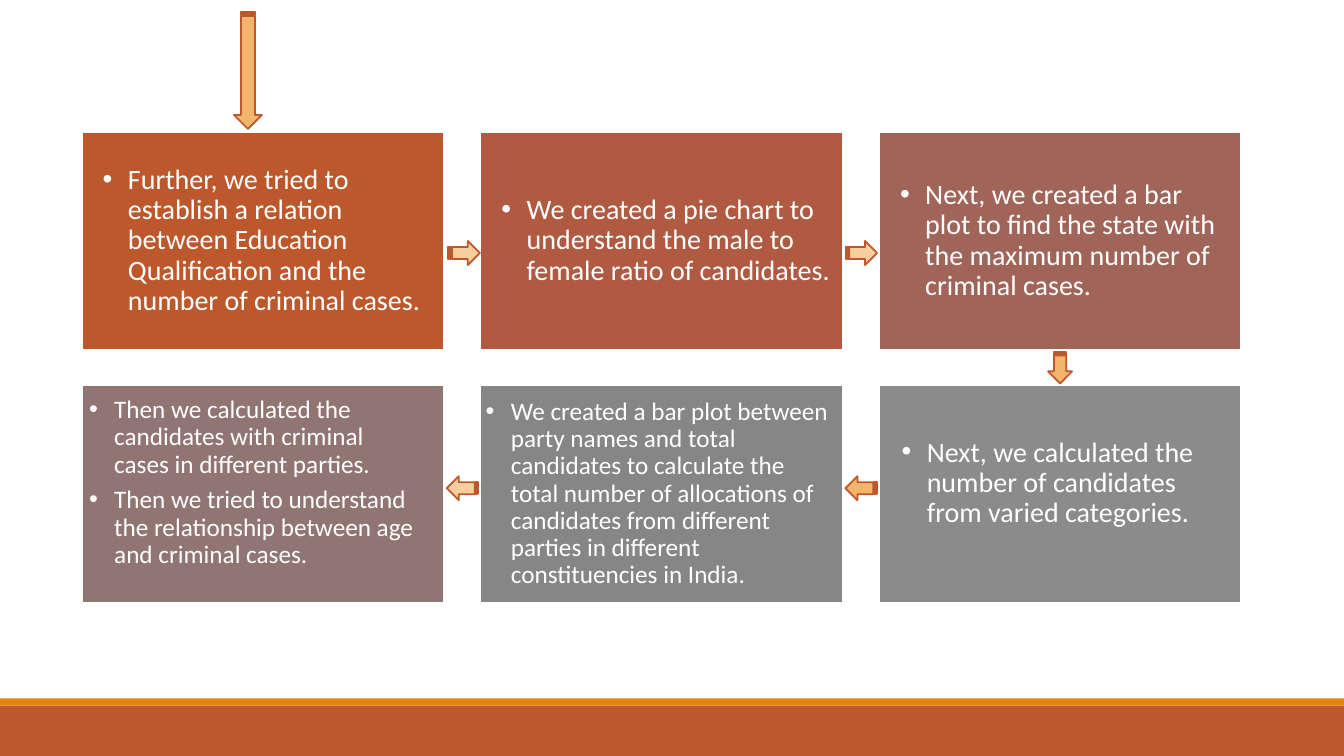
from dataclasses import dataclass

from lxml.etree import SubElement
from pptx import Presentation
from pptx.dml.color import RGBColor
from pptx.enum.shapes import MSO_SHAPE
from pptx.enum.text import MSO_ANCHOR, PP_ALIGN
from pptx.oxml.ns import qn
from pptx.util import Pt


@dataclass(frozen=True)
class Theme:
    """Colours, font and type sizes of the slide."""
    white: str = "FFFFFF"
    rust: str = "BD582C"
    orange: str = "E48312"
    pale_arrow: str = "F7CE9D"
    deep_arrow: str = "F3B56C"
    cards: tuple = ("BD582C", "B05A42", "A16459", "917573", "868686", "8B8B8B")
    font: str = "Calibri"
    large: int = 20
    small: int = 18
    outline: float = 1.25


THEME = Theme()
SLIDE_WIDTH, SLIDE_HEIGHT = 960, 540
CARD_WIDTH, CARD_HEIGHT = 258.7, 155.2
CARD_LEFT, CARD_TOP = 58.4, 94.4
COLUMN_STEP, ROW_STEP = 284.75, 180.75
COLUMNS = 3
CARD_INSET = 6
ARROW_SIZE = (22.6, 17.2)

TOP_STEPS = (
    "Further, we tried to establish a relation between Education Qualification "
    "and the number of criminal cases.",
    "We created a pie chart to understand the male to female ratio of candidates.",
    "Next, we created a bar plot to find the state with the maximum number of "
    "criminal cases.",
)
CATEGORIES = "Next, we calculated the number of candidates from varied categories."
ALLOCATIONS = (
    "We created a bar plot between party names and total candidates to calculate "
    "the total number of allocations of candidates from different parties in "
    "different constituencies in India."
)
PARTIES_AND_AGE = (
    "Then we calculated the candidates with criminal cases in different parties.",
    "Then we tried to understand the relationship between age and criminal cases.",
)

FLOW_ARROWS = (
    (320.2, 172.1, ARROW_SIZE, 0, THEME.pale_arrow),
    (603.9, 172.1, ARROW_SIZE, 0, THEME.pale_arrow),
    (745.9, 254, ARROW_SIZE, 90, THEME.deep_arrow),
    (319.1, 340.1, ARROW_SIZE, 180, THEME.pale_arrow),
    (603.8, 340.1, ARROW_SIZE, 180, THEME.deep_arrow),
    (135.2, 40.2, (83.8, 20), 90, THEME.deep_arrow),
)


def add_block(slide, kind, box, fill, line=None):
    """Add a flat preset shape with an optional outline."""
    block = slide.shapes.add_shape(kind, *map(Pt, box))
    block.shadow.inherit = False
    block.fill.solid()
    block.fill.fore_color.rgb = RGBColor.from_string(fill)
    if line:
        block.line.color.rgb = RGBColor.from_string(line)
        block.line.width = Pt(THEME.outline)
    else:
        block.line.fill.background()
    return block


def set_bullet(paragraph):
    """Give a paragraph a round bullet with a hanging indent."""
    properties = paragraph._p.get_or_add_pPr()
    properties.set("marL", str(Pt(27)))
    properties.set("indent", str(Pt(-18)))
    SubElement(properties, qn("a:buFont")).set("typeface", "Arial")
    SubElement(properties, qn("a:buChar")).set("char", "•")


def write_bullets(holder, sentences, size, inset=None):
    """Write bulleted sentences, centred vertically when an inset is given."""
    frame = holder.text_frame
    frame.word_wrap = True
    frame.vertical_anchor = MSO_ANCHOR.TOP
    if inset is not None:
        frame.vertical_anchor = MSO_ANCHOR.MIDDLE
        frame.margin_left = frame.margin_right = Pt(inset)
        frame.margin_top = frame.margin_bottom = Pt(inset)
    for index, sentence in enumerate(sentences):
        paragraph = frame.add_paragraph() if index else frame.paragraphs[0]
        paragraph.text = sentence
        paragraph.alignment = PP_ALIGN.LEFT
        paragraph.line_spacing = 0.9
        paragraph.space_after = Pt(6)
        paragraph.font.name = THEME.font
        paragraph.font.size = Pt(size)
        paragraph.font.color.rgb = RGBColor.from_string(THEME.white)
        set_bullet(paragraph)


def add_note(slide, box, sentences, size, inset=None):
    """Add a bulleted text box over a card."""
    note = slide.shapes.add_textbox(*map(Pt, box))
    write_bullets(note, sentences, size, inset)


def add_cards(slide):
    """Lay out the grid of cards and return them in reading order."""
    cards = []
    for index, fill in enumerate(THEME.cards):
        row, column = divmod(index, COLUMNS)
        box = (CARD_LEFT + column * COLUMN_STEP, CARD_TOP + row * ROW_STEP,
               CARD_WIDTH, CARD_HEIGHT)
        cards.append(add_block(slide, MSO_SHAPE.RECTANGLE, box, fill, THEME.white))
    return cards


def add_arrow(slide, left, top, size, rotation, fill):
    """Add a striped arrow turned to its direction of flow."""
    arrow = add_block(slide, MSO_SHAPE.STRIPED_RIGHT_ARROW, (left, top, *size),
                      fill, THEME.rust)
    arrow.rotation = rotation


def main():
    """Build the process slide and save it."""
    deck = Presentation()
    deck.slide_width, deck.slide_height = Pt(SLIDE_WIDTH), Pt(SLIDE_HEIGHT)
    slide = deck.slides.add_slide(deck.slide_layouts.get_by_name("Blank"))

    add_block(slide, MSO_SHAPE.RECTANGLE, (0, 504, SLIDE_WIDTH, 36), THEME.rust)
    add_block(slide, MSO_SHAPE.RECTANGLE, (0, 498.8, SLIDE_WIDTH, 5.2), THEME.orange)

    for card, sentence in zip(add_cards(slide), TOP_STEPS):
        write_bullets(card, [sentence], THEME.large, CARD_INSET)
    add_note(slide, (331.9, CARD_TOP + ROW_STEP, 270, CARD_HEIGHT),
             [ALLOCATIONS], THEME.small, CARD_INSET)
    add_note(slide, (627.9, 309.2, CARD_WIDTH, 72.7), [CATEGORIES], THEME.large)
    add_note(slide, (47.5, 280, CARD_WIDTH, 131), PARTIES_AND_AGE, THEME.small)

    for arrow in FLOW_ARROWS:
        add_arrow(slide, *arrow)

    deck.save("out.pptx")


if __name__ == "__main__":
    main()
